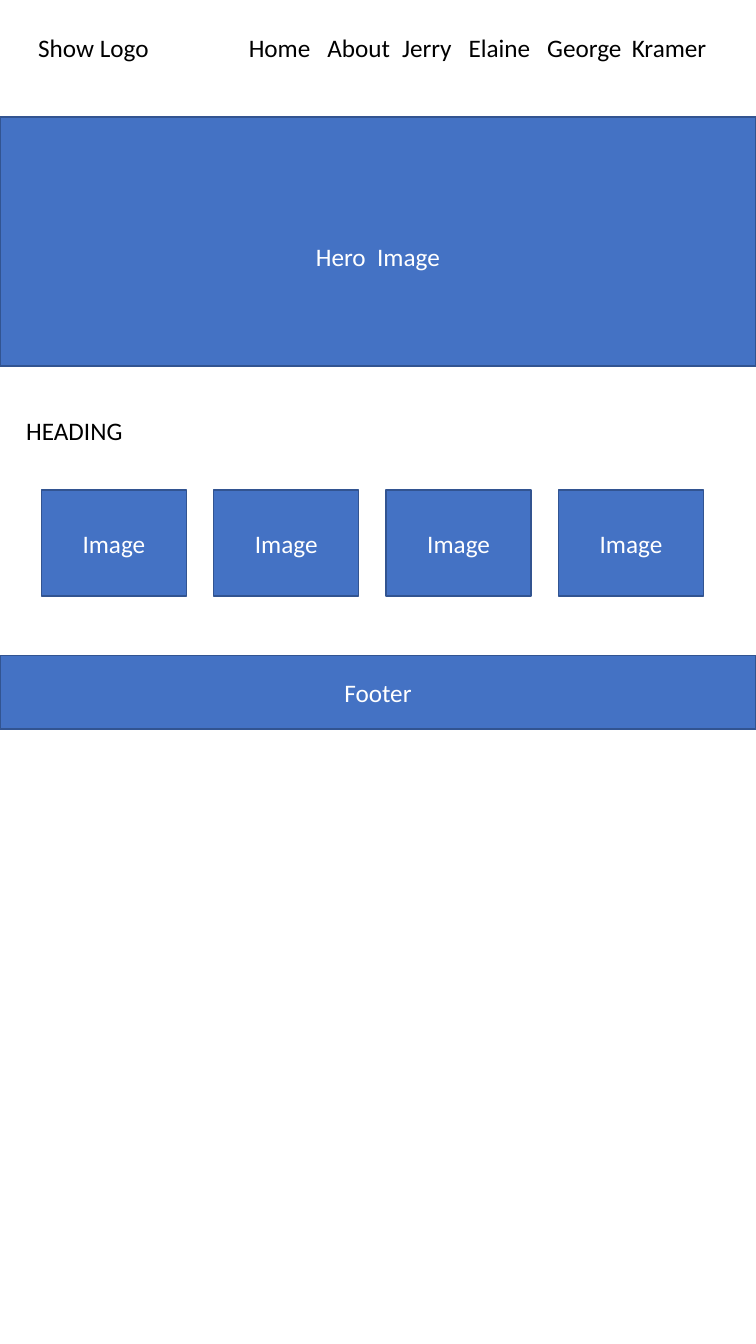
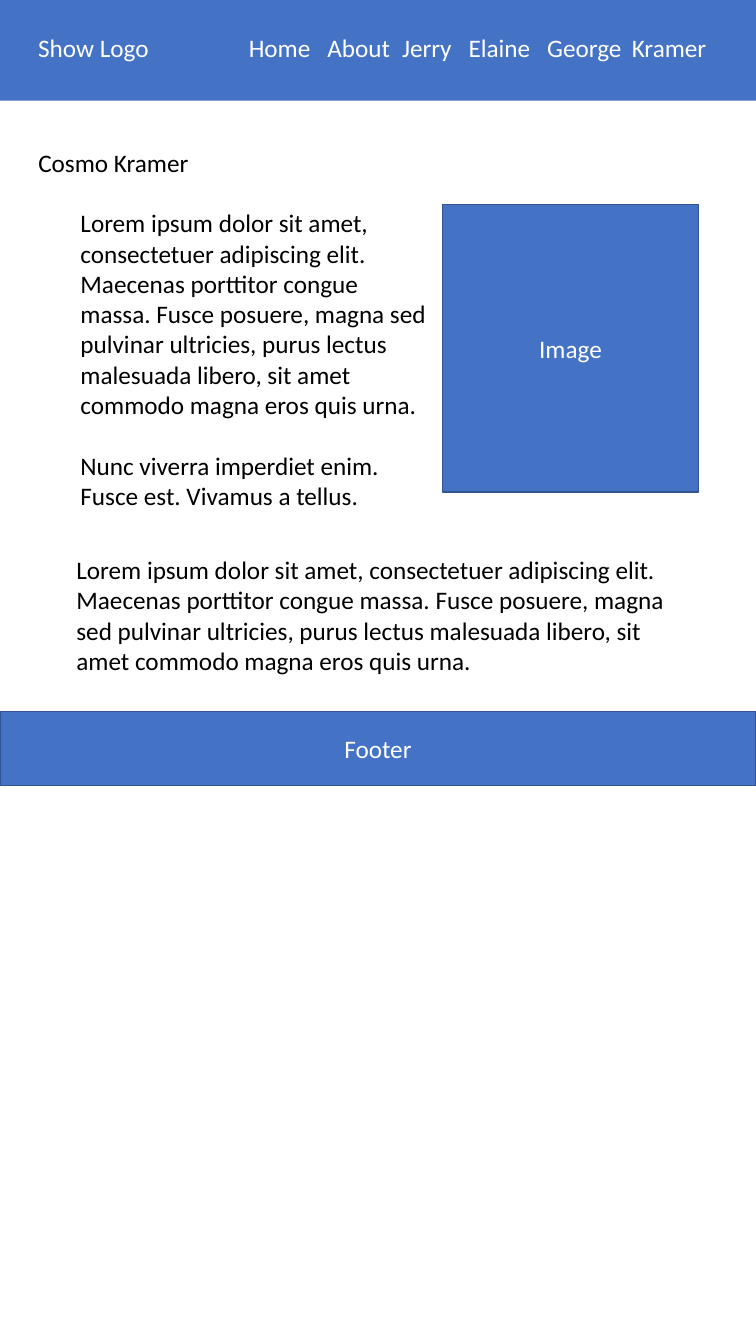
from dataclasses import dataclass

from lxml.etree import SubElement
from pptx import Presentation
from pptx.dml.color import RGBColor
from pptx.enum.shapes import MSO_SHAPE
from pptx.enum.text import MSO_ANCHOR, MSO_AUTO_SIZE, PP_ALIGN
from pptx.oxml.ns import qn
from pptx.util import Inches, Pt


@dataclass(frozen=True)
class Theme:
    """Colours, type and page size shared by both slides."""

    fill: RGBColor = RGBColor(0x44, 0x72, 0xC4)
    edge: RGBColor = RGBColor(0x32, 0x54, 0x91)
    dark: RGBColor = RGBColor(0, 0, 0)
    light: RGBColor = RGBColor(255, 255, 255)
    font: str = "Calibri"
    size: int = 18
    gap: int = 22
    width: float = 7.5
    height: float = 13.33


THEME = Theme()
LINKS = ["Home", "About", "Jerry", "Elaine", "George", "Kramer"]
STOPS = [0.78, 1.52, 2.18, 2.96, 3.8]
LOREM = (
    "Lorem ipsum dolor sit amet, consectetuer adipiscing elit. "
    "Maecenas porttitor congue massa. Fusce posuere, magna sed pulvinar "
    "ultricies, purus lectus malesuada libero, sit amet commodo magna eros "
    "quis urna."
)
NUNC = "Nunc viverra imperdiet enim. Fusce est. Vivamus a tellus."


def write(par, text, color, align=PP_ALIGN.LEFT):
    """Add one styled run to a paragraph."""
    par.alignment = align
    run = par.add_run()
    run.text = text
    run.font.name = THEME.font
    run.font.size = Pt(THEME.size)
    run.font.color.rgb = color


def add_box(slide, area, text="", edge=True, drop=0):
    """Add a filled block with an optional centred label, lowered by drop."""
    box = slide.shapes.add_shape(MSO_SHAPE.RECTANGLE, *map(Inches, area))
    box.shadow.inherit = False
    box.fill.solid()
    box.fill.fore_color.rgb = THEME.fill
    if edge:
        box.line.color.rgb = THEME.edge
        box.line.width = Pt(1)
    else:
        box.line.fill.background()
    if text:
        frame = box.text_frame
        frame.vertical_anchor = MSO_ANCHOR.MIDDLE
        frame.margin_top = Inches(0.05 + drop)
        write(frame.paragraphs[0], text, THEME.light, PP_ALIGN.CENTER)


def add_text(slide, area, texts, color=THEME.dark):
    """Add a wrapped text box, one paragraph per text, and return its frame."""
    frame = slide.shapes.add_textbox(*map(Inches, area)).text_frame
    frame.word_wrap = True
    for i, text in enumerate(texts):
        par = frame.add_paragraph() if i else frame.paragraphs[0]
        if i:
            par.space_before = Pt(THEME.gap)
        write(par, text, color)
    return frame


def set_title(slide, area, text):
    """Move the title placeholder into place and fill it."""
    title = slide.shapes.title
    title.left, title.top, title.width, title.height = map(Inches, area)
    frame = title.text_frame
    frame.auto_size = MSO_AUTO_SIZE.NONE
    frame.vertical_anchor = MSO_ANCHOR.TOP
    write(frame.paragraphs[0], text, THEME.dark)


def add_nav(slide, color):
    """Add the site name and the row of links on tab stops."""
    add_text(slide, (0.28, 0.27, 1.59, 0.4), ["Show Logo"], color)
    frame = add_text(slide, (2.37, 0.27, 5.07, 0.4), ["\t".join(LINKS)], color)
    props = frame.paragraphs[0]._p.get_or_add_pPr()
    tabs = SubElement(props, qn("a:tabLst"))
    for stop in STOPS:
        SubElement(tabs, qn("a:tab"), pos=str(Inches(stop)), algn="l")


def add_footer(slide, top):
    """Add the footer band across the page."""
    add_box(slide, (0, top, THEME.width, 0.73), "Footer")


def build_home(slide):
    """Lay out the home page."""
    add_nav(slide, THEME.dark)
    add_box(slide, (0, 1.16, THEME.width, 2.47), "Hero  Image", drop=0.3)
    set_title(slide, (0.16, 4.07, 5, 0.4), "HEADING")
    for col in range(4):
        add_box(slide, (0.41 + 1.71 * col, 4.86, 1.44, 1.05), "Image")
    add_footer(slide, 6.5)


def build_actor(slide):
    """Lay out the page of one character."""
    add_box(slide, (0, 0, THEME.width, 1), edge=False)
    add_nav(slide, THEME.light)
    set_title(slide, (0.28, 1.41, 5, 0.4), "Cosmo Kramer")
    add_box(slide, (4.39, 2.03, 2.54, 2.85), "Image")
    add_text(slide, (0.7, 2.01, 3.66, 3.43), [LOREM, NUNC])
    add_text(slide, (0.66, 5.45, 6.16, 1.62), [LOREM])
    add_footer(slide, 7.06)


def main():
    """Build both slides and save them."""
    deck = Presentation()
    deck.slide_width = Inches(THEME.width)
    deck.slide_height = Inches(THEME.height)
    for build in (build_home, build_actor):
        build(deck.slides.add_slide(deck.slide_layouts[5]))
    deck.save("out.pptx")


if __name__ == "__main__":
    main()
